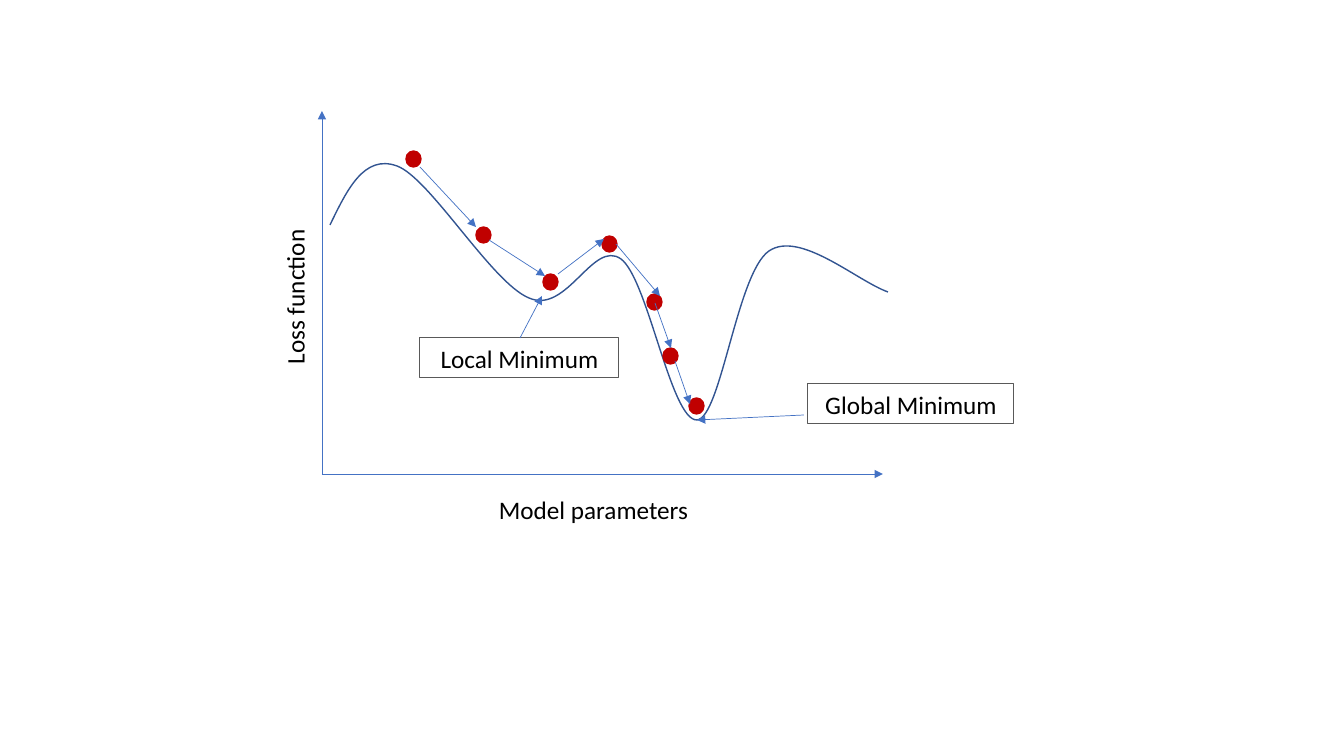
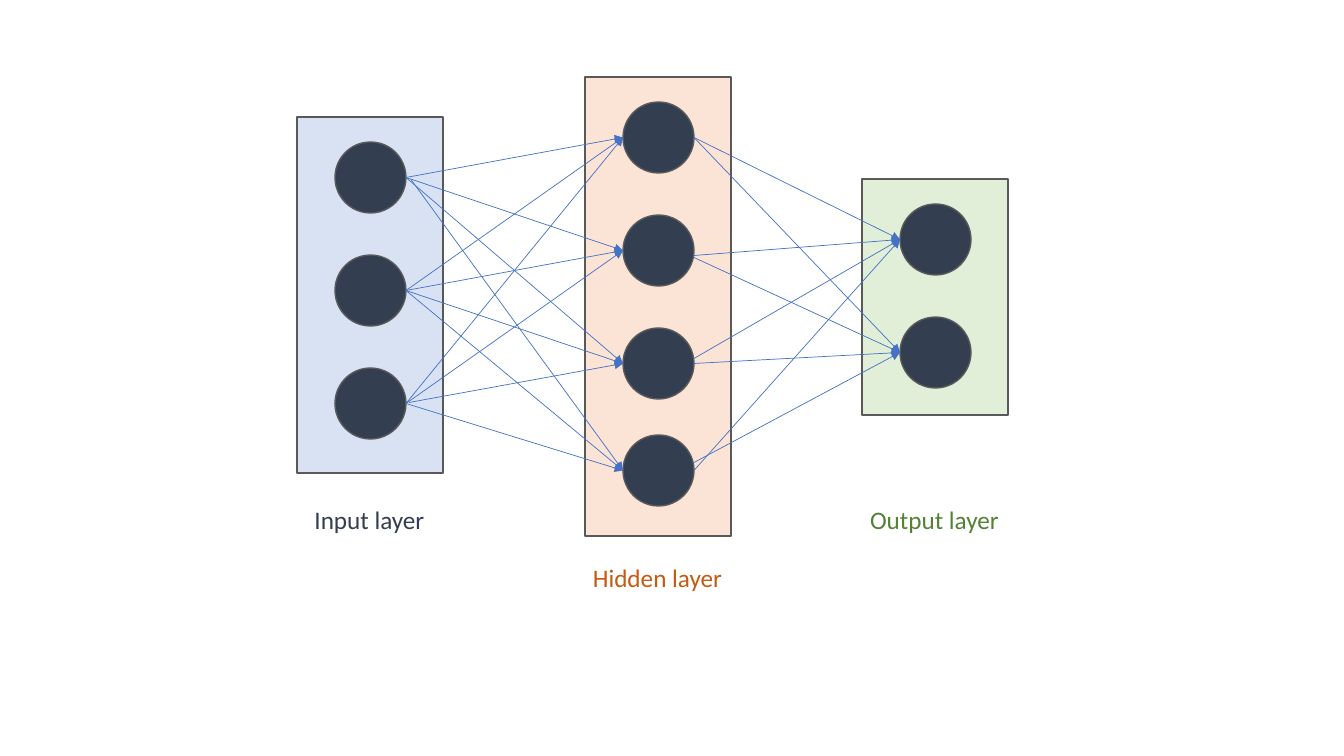
from itertools import product
from lxml import etree
from pptx import Presentation
from pptx import util as u
from pptx.dml.color import RGBColor
from pptx.enum import shapes, text
from pptx.oxml.ns import qn

BLACK = RGBColor(0x00, 0x00, 0x00)
GREY = RGBColor(0x59, 0x59, 0x59)
BLUE = RGBColor(0x44, 0x72, 0xC4)
CURVE_BLUE = RGBColor(0x32, 0x54, 0x91)
RED = RGBColor(0xC0, 0x00, 0x00)
NAVY = RGBColor(0x33, 0x3F, 0x50)
ORANGE = RGBColor(0xC5, 0x5A, 0x11)
GREEN = RGBColor(0x54, 0x82, 0x35)
PALE_BLUE = RGBColor(0xB4, 0xC7, 0xE7)
PALE_ORANGE = RGBColor(0xF8, 0xCB, 0xAD)
PALE_GREEN = RGBColor(0xC5, 0xE0, 0xB4)

SCALE = 914400 / 100.8
RECTANGLE = shapes.MSO_SHAPE.RECTANGLE
OVAL = shapes.MSO_SHAPE.OVAL


def px(*lengths):
    return [u.Emu(round(length * SCALE)) for length in lengths]


class Sketch:
    font = "Calibri"
    size = u.Pt(18)

    def __init__(self):
        self.deck = Presentation()
        self.deck.slide_width, self.deck.slide_height = px(1344, 756)
        self.page = None

    def new_page(self):
        self.page = self.deck.slides.add_slide(self.deck.slide_layouts[6])

    def set_words(self, box, words, color, anchor=text.MSO_ANCHOR.TOP):
        frame = box.text_frame
        frame.text = words
        frame.word_wrap = True
        frame.auto_size = text.MSO_AUTO_SIZE.SHAPE_TO_FIT_TEXT
        frame.vertical_anchor = anchor
        para = frame.paragraphs[0]
        para.alignment = text.PP_ALIGN.CENTER
        span = para.runs[0]
        span.font.name = self.font
        span.font.size = self.size
        span.font.color.rgb = color

    def label(self, words, left, top, width, color=BLACK, turn=0, anchor=text.MSO_ANCHOR.TOP):
        box = self.page.shapes.add_textbox(*px(left, top, width, 40))
        box.rotation = turn
        self.set_words(box, words, color, anchor)

    def shape(self, kind, left, top, width, height, fill, line, weight=1, opacity=100):
        shape = self.page.shapes.add_shape(kind, *px(left, top, width, height))
        shape.shadow.inherit = False
        shape.line.color.rgb = line
        shape.line.width = u.Pt(weight)
        if fill is None:
            shape.fill.background()
        else:
            shape.fill.solid()
            shape.fill.fore_color.rgb = fill
        if opacity < 100:
            color = shape._element.spPr.find(qn("a:solidFill"))[0]
            etree.SubElement(color, qn("a:alpha"), val=str(opacity * 1000))
        return shape

    def callout(self, words, left, top, width):
        box = self.shape(RECTANGLE, left, top, width, 40, None, GREY, 0.75)
        self.set_words(box, words, BLACK)

    def arrow(self, x1, y1, x2, y2):
        arrow = self.page.shapes.add_connector(shapes.MSO_CONNECTOR.STRAIGHT, *px(x1, y1, x2, y2))
        arrow.line.color.rgb = BLUE
        arrow.line.width = u.Pt(0.5)
        properties = arrow._element.spPr
        etree.SubElement(properties.find(qn("a:ln")), qn("a:tailEnd"), type="triangle")
        etree.SubElement(properties, qn("a:effectLst"))

    def curve(self, start, points, color):
        builder = self.page.shapes.build_freeform(*start, scale=SCALE)
        builder.add_line_segments(points, close=False)
        curve = builder.convert_to_shape()
        curve.shadow.inherit = False
        curve.fill.background()
        curve.line.color.rgb = color
        curve.line.width = u.Pt(1)
        outline = next(curve._element.iter(qn("a:path")))
        segments = outline.findall(qn("a:lnTo"))
        for first in range(0, len(segments), 3):
            bend = etree.SubElement(outline, qn("a:cubicBezTo"))
            for segment in segments[first:first + 3]:
                bend.append(segment[0])
                outline.remove(segment)


def draw_loss(sketch):
    sketch.new_page()
    sketch.arrow(322, 474, 322, 111)
    sketch.arrow(322, 474, 883, 474)
    sketch.label("Model parameters", 420, 489, 347)
    sketch.label("Loss function", 121, 277, 347, turn=270)
    sketch.curve((330, 225), [
        (347, 190), (364, 154), (397, 166),
        (430, 178), (492, 283), (529, 298),
        (567, 315), (593, 239), (621, 259),
        (648, 279), (671, 421), (697, 420),
        (721, 418), (737, 273), (769, 251),
        (800, 230), (857, 281), (888, 292),
    ], CURVE_BLUE)
    sketch.callout("Local Minimum", 420, 338, 199)
    sketch.arrow(520, 338, 542, 296)
    sketch.callout("Global Minimum", 808, 384, 206)
    sketch.arrow(804, 415, 697, 420)

    balls = [(406, 151), (476, 227), (543, 274), (602, 236), (647, 294), (663, 348), (689, 398)]
    for left, top in balls:
        sketch.shape(OVAL, left, top, 15, 16, RED, RED)
    steps = [
        (420, 167, 476, 227), (489, 240, 545, 276), (558, 274, 604, 239),
        (616, 244, 660, 296), (655, 303, 671, 348), (675, 361, 690, 404),
    ]
    for step in steps:
        sketch.arrow(*step)


def draw_network(sketch):
    sketch.new_page()
    panel_width, node, inset, headroom = 146, 71, 38, 25
    layers = [
        ("Input layer", 297, 356, [142, 255, 368], PALE_BLUE, NAVY, 499),
        ("Hidden layer", 585, 459, [102, 215, 328, 435], PALE_ORANGE, ORANGE, 557),
        ("Output layer", 862, 236, [204, 317], PALE_GREEN, GREEN, 499),
    ]
    for name, left, height, tops, fill, color, label_top in layers:
        sketch.shape(RECTANGLE, left, tops[0] - headroom, panel_width, height, fill, GREY, opacity=50)
        for top in tops:
            sketch.shape(OVAL, left + inset, top, node, node, NAVY, GREY)
        sketch.label(name, left - 45, label_top, 235, color, anchor=text.MSO_ANCHOR.MIDDLE)

    start_shifts = {
        (0, 0, 3): (5, 2), (0, 2, 2): (3, -1),
        (1, 1, 0): (0, 5), (1, 1, 1): (0, 7),
        (1, 2, 0): (0, -5), (1, 3, 1): (0, -8),
    }
    for index, (source, target) in enumerate(zip(layers, layers[1:])):
        for row, goal in product(range(len(source[3])), range(len(target[3]))):
            dx, dy = start_shifts.get((index, row, goal), (0, 0))
            sketch.arrow(
                source[1] + inset + node + dx, source[3][row] + node / 2 + dy,
                target[1] + inset, target[3][goal] + node / 2,
            )


sketch = Sketch()
draw_loss(sketch)
draw_network(sketch)
sketch.deck.save("out.pptx")
